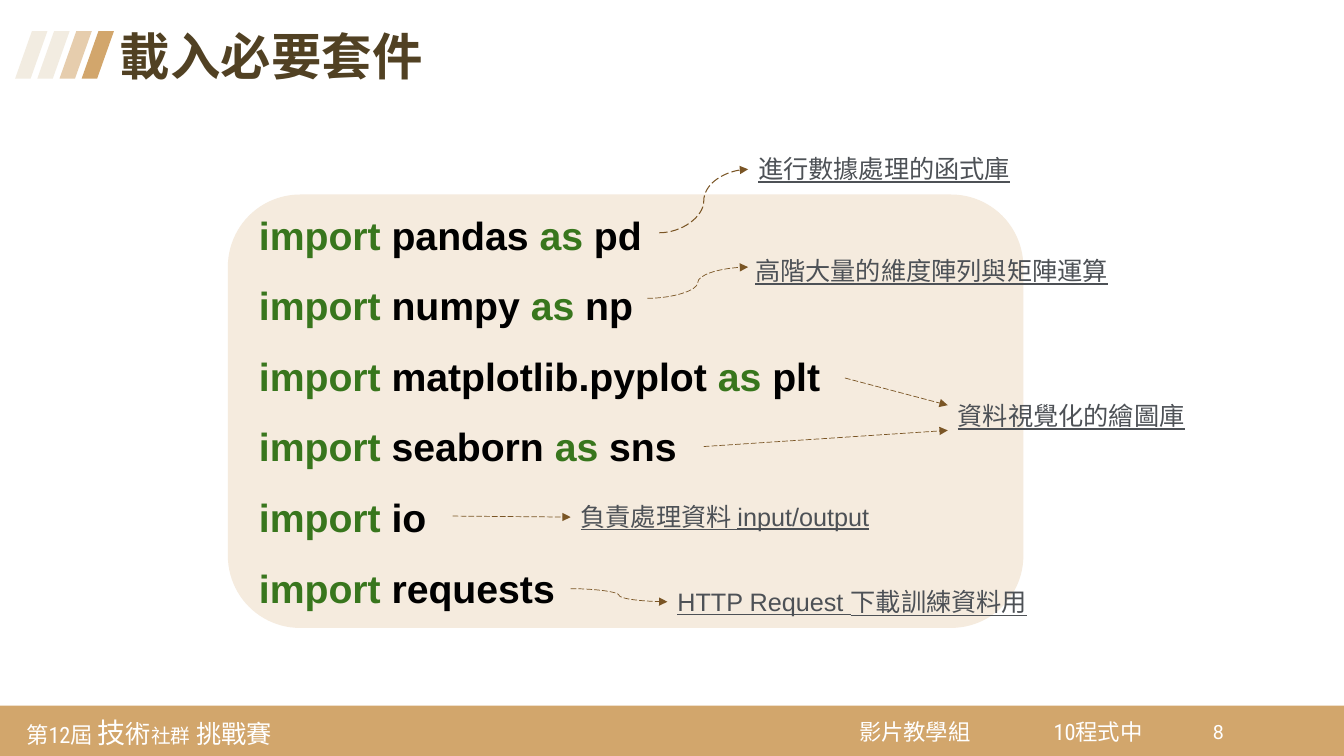
from lxml import etree
from pptx import Presentation
from pptx.dml.color import RGBColor
from pptx.enum.dml import MSO_LINE
from pptx.enum.shapes import MSO_CONNECTOR, MSO_SHAPE
from pptx.enum.text import MSO_ANCHOR, MSO_AUTO_SIZE, PP_ALIGN
from pptx.oxml.ns import qn
from pptx.util import Inches, Pt

CURVE, STRAIGHT = MSO_CONNECTOR.CURVE, MSO_CONNECTOR.STRAIGHT
RECT, ROUNDED = MSO_SHAPE.RECTANGLE, MSO_SHAPE.ROUNDED_RECTANGLE
SLANTED = MSO_SHAPE.PARALLELOGRAM
TOP, MIDDLE = MSO_ANCHOR.TOP, MSO_ANCHOR.MIDDLE
LEFT = PP_ALIGN.LEFT
LONG_DASH = MSO_LINE.LONG_DASH
FIXED_SIZE = MSO_AUTO_SIZE.NONE

COLORS = {
    "white": "FFFFFF", "band": "D2A66C", "stripe": "E6CDAD", "pale": "F2ECE1",
    "title": "514123", "panel": "F5EBDE", "keyword": "38761D", "code": "000000",
    "note": "4D5156", "arrow": "7A5525",
}

# All places are counted in columns and rows of a grid with cells of 0.1 inch.
CELL = 0.1
COLUMNS, ROWS = 133.3, 75
HEADER = (1.5, 2.7, 111.3, 6.5)
PANEL = (22.6, 19.3, 78.9, 43)
FOOTER = (0, 70, COLUMNS, 5)

IMPORTS = [
    "import pandas as pd",
    "import numpy as np",
    "import matplotlib.pyplot as plt",
    "import seaborn as sns",
    "import io",
    "import requests",
]
# Text, then left, top and width, counted from the corner of the panel
NOTES = [
    ("進行數據處理的函式庫", 51.6, -4.6, 27.3),
    ("高階大量的維度陣列與矩陣運算", 51.3, 5.5, 37.4),
    ("資料視覺化的繪圖庫", 71.4, 19.9, 24.7),
    ("負責處理資料 input/output", 34, 29.9, 31.1),
    ("HTTP Request 下載訓練資料用", 43.6, 38.4, 37),
]
# Kind, start, end and line width, one for each import
ARROWS = [
    (CURVE, (42.8, 3.8), (51.6, -2.5), 0.75),
    (CURVE, (41.6, 10.3), (51.6, 7.2), 0.5),
    (STRAIGHT, (61.2, 18.2), (71.4, 20.9), 0.5),
    (STRAIGHT, (47.2, 25), (71.4, 23.4), 0.5),
    (STRAIGHT, (22.3, 31.9), (34, 32), 0.5),
    (CURVE, (34, 39.1), (43.6, 40.4), 0.5),
]
# Left, top, width and height from the corner of the footer, then text and size
FOOTER_LABELS = [
    ((1.8, 0.2, 28.3, 4.9),
     [("第12屆 ", 16), ("技", 20), ("術", 18), ("社群", 14), (" 挑戰賽", 18)]),
    ((84.4, 0.4, 13.3, 4.3), [("影片教學組", 16)]),
    ((103.7, 0.4, 13.3, 4.3), [("10程式中", 16)]),
]


def grid(*cells):
    return [Inches(cell * CELL) for cell in cells]


def rgb(name):
    return RGBColor.from_string(COLORS[name])


def style(font, size, color, name="Arial", bold=False):
    font.size, font.name, font.bold = Pt(size), name, bold
    font.color.rgb = rgb(color)


def add_block(slide, kind, box, color):
    block = slide.shapes.add_shape(kind, *grid(*box))
    block.shadow.inherit = False
    block.fill.solid()
    block.fill.fore_color.rgb = rgb(color)
    block.line.fill.background()
    return block


def set_margins(frame, left, top, right, bottom):
    frame.margin_left, frame.margin_top = Inches(left), Inches(top)
    frame.margin_right, frame.margin_bottom = Inches(right), Inches(bottom)


def add_label(slide, box):
    frame = slide.shapes.add_textbox(*grid(*box)).text_frame
    frame.word_wrap = True
    return frame


def add_header(slide, box):
    left, top, width, height = box
    for index, color in enumerate(["pale", "pale", "stripe", "band"]):
        stripe = add_block(slide, SLANTED,
                           (left + 2.2 * index, top + 0.4, 3.2, 4.7), color)
        stripe.adjustments[0] = 0.52
    title = slide.shapes.title
    title.left, title.top, title.width, title.height = grid(
        left + 9.4, top, width - 9.4, height)
    frame = title.text_frame
    frame.text = "載入必要套件"
    frame.vertical_anchor = TOP
    frame.auto_size = FIXED_SIZE
    heading = frame.paragraphs[0]
    heading.alignment, heading.line_spacing = LEFT, 0.9
    style(heading.font, 36, "title", bold=True)


def add_code_panel(slide, box):
    frame = add_block(slide, ROUNDED, box, "panel").text_frame
    frame.word_wrap = True
    frame.vertical_anchor = MIDDLE
    set_margins(frame, 0.1, 0, 0.1, 0.24)
    for index, statement in enumerate(IMPORTS):
        line = frame.add_paragraph() if index else frame.paragraphs[0]
        line.alignment, line.line_spacing = LEFT, 1.5
        style(line.font, 28, "code", bold=True)
        words = statement.split()
        for position, word in enumerate(words):
            run = line.add_run()
            run.text = word if position == len(words) - 1 else word + " "
            color = "keyword" if word in ("import", "as") else "code"
            style(run.font, 28, color, bold=True)


def add_arrow(slide, kind, start, end, width):
    arrow = slide.shapes.add_connector(kind, *grid(*start, *end))
    arrow.line.color.rgb = rgb("arrow")
    arrow.line.width = Pt(width)
    arrow.line.dash_style = LONG_DASH
    properties = arrow.element.spPr
    etree.SubElement(properties.find(qn("a:ln")), qn("a:tailEnd"), type="triangle")
    etree.SubElement(properties, qn("a:effectLst"))


def add_notes(slide, box):
    """Place the remarks and the arrows that lead to them from the imports."""
    left, top = box[:2]
    for kind, start, end, width in ARROWS:
        add_arrow(slide, kind, (left + start[0], top + start[1]),
                  (left + end[0], top + end[1]), width)
    for remark, column, row, width in NOTES:
        frame = add_label(slide, (left + column, top + row, width, 4))
        frame.text = remark
        font = frame.paragraphs[0].font
        style(font, 18, "note")
        font.underline = True


def add_footer(slide, box):
    left, top = box[:2]
    add_block(slide, RECT, box, "band")
    for (column, row, width, height), pieces in FOOTER_LABELS:
        frame = add_label(slide, (left + column, top + row, width, height))
        frame.vertical_anchor = MIDDLE
        set_margins(frame, 0.08, 0.08, 0.08, 0.08)
        for piece, size in pieces:
            run = frame.paragraphs[0].add_run()
            run.text = piece
            style(run.font, size, "white", "Roboto Condensed")
    number = add_label(slide, (left + 119.3, top + 0.9, 4.2, 4.1))
    number.text = "8"
    style(number.paragraphs[0].font, 14, "white", "Roboto")


def main():
    deck = Presentation()
    deck.slide_width, deck.slide_height = grid(COLUMNS, ROWS)
    slide = deck.slides.add_slide(deck.slide_layouts[5])
    add_footer(slide, FOOTER)
    add_header(slide, HEADER)
    add_code_panel(slide, PANEL)
    add_notes(slide, PANEL)
    deck.save("out.pptx")


if __name__ == "__main__":
    main()
